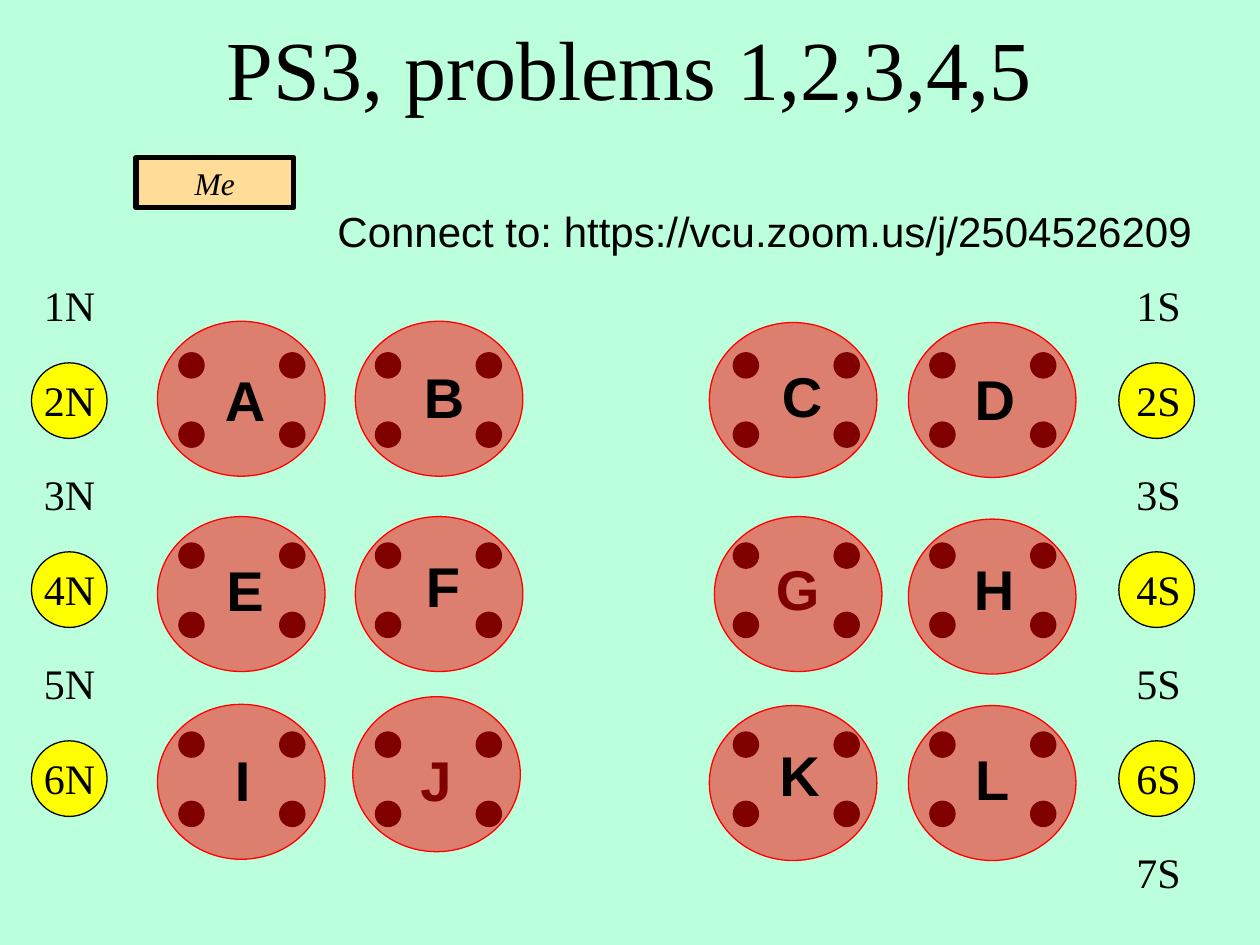
from lxml import etree
from pptx import Presentation
from pptx.dml.color import RGBColor
from pptx.enum.shapes import MSO_SHAPE
from pptx.enum.text import MSO_ANCHOR, PP_ALIGN
from pptx.oxml.ns import qn
from pptx.util import Inches, Pt

OVAL, RECT = MSO_SHAPE.OVAL, MSO_SHAPE.RECTANGLE
LEFT, MID = PP_ALIGN.LEFT, PP_ALIGN.CENTER
TOP, CORE = MSO_ANCHOR.TOP, MSO_ANCHOR.MIDDLE
SERIF, SANS = "Times New Roman", "Arial"
HUE = {"page": "BBFFDD", "ink": "000000", "lamp": "FFFF00",
       "desk": "FFDD99", "table": "FF0000"}

# The slide is a grid of 100 columns by 75 rows
WIDE, HIGH = Inches(10), Inches(7.5)
COL, ROW = WIDE / 100, HIGH / 75

# Seat blocks of the tables, in columns and rows
SEAT_X = (14.2, 29.8, 58.2, 73.8)
SEAT_Y = (28, 43.1, 58.1)
SEAT_W, SEAT_H, DOT = 10, 7.5, 2
# Each table: letter, shift of its disc, shift of its letter, letter below disc
TABLES = (
    (("A", (-1.7, -2.5), (0.8, 0.5), False),
     ("B", (-1.6, -2.5), (1, 0.3), False),
     ("C", (-1.9, -2.4), (1, 0.2), False),
     ("D", (-1.7, -2.4), (0.7, 0.4), False)),
    (("E", (-1.7, -2.1), (0.8, 0.5), False),
     ("F", (-1.6, -2.1), (0.9, 0.2), False),
     ("G", (-1.5, -2.1), (0.65, 0.4), True),
     ("H", (-1.7, -1.9), (0.65, 0.4), False)),
    (("I", (-1.7, -2.2), (0.6, 0.6), False),
     ("J", (-1.8, -2.8), (0.35, 0.6), True),
     ("K", (-1.9, -2.1), (0.8, 0.2), False),
     ("L", (-1.7, -2.1), (0.5, 0.5), False)),
)


def place(box):
    x, y, w, h = box
    return round(x * COL), round(y * ROW), round(w * COL), round(h * ROW)


def color(name):
    return RGBColor.from_string(HUE[name])


def shape(slide, kind, box, fill, line="ink", width=0.75, alpha=None):
    item = slide.shapes.add_shape(kind, *place(box))
    item.shadow.inherit = False
    item.fill.solid()
    item.fill.fore_color.rgb = color(fill)
    item.line.color.rgb = color(line)
    item.line.width = Pt(width)
    if alpha:
        tint = item.fill._xPr.find(qn("a:solidFill"))[0]
        etree.SubElement(tint, qn("a:alpha")).set("val", str(alpha * 1000))
    return item


def write(item, text, size, face=SERIF, align=LEFT, anchor=TOP,
          bold=False, slant=False):
    frame = item.text_frame
    frame.word_wrap = True
    frame.vertical_anchor = anchor
    para = frame.paragraphs[0]
    para.text = text
    para.alignment = align
    font = para.font
    font.name, font.size = face, Pt(size)
    font.bold, font.italic = bold, slant
    font.color.rgb = color("ink")


def label(slide, box, text, size, **style):
    write(slide.shapes.add_textbox(*place(box)), text, size, **style)


def head(slide, box):
    """Title, desk and link line."""
    x, y, w, h = box
    label(slide, (x + 8.7, y + 0.8, 82.5, 9), "PS3, problems 1,2,3,4,5", 48,
          align=MID)
    desk = shape(slide, RECT, (x + 10.8, y + 12.5, 12.5, 4), "desk", width=3)
    write(desk, "Me", 18, align=MID, anchor=CORE, slant=True)
    label(slide, (x + 25.8, y + 15.8, 71.7, 5),
          "Connect to: https://vcu.zoom.us/j/2504526209", 24, face=SANS)


def side(slide, box, mark, count, inset):
    """Column of seat numbers; even ones sit on a lamp."""
    x, y, w, h = box
    step = h / count
    for i in range(count):
        top = y + i * step
        if i % 2:
            shape(slide, OVAL, (x - inset, top - 0.4, 6, 6), "lamp")
        label(slide, (x, top, w, 5), f"{i + 1}{mark}", 24)


def table(slide, box, letter, disc, text, below):
    """Four seats under a clear disc with a letter."""
    x, y, w, h = box
    for top in (y, y + h - DOT):
        for left in (x, x + w - DOT):
            shape(slide, OVAL, (left, top, DOT, DOT), "ink")

    def name():
        label(slide, (x + text[0], y + text[1], 8.9, 6.4), letter, 32,
              face=SANS, align=MID, bold=True)

    if below:
        name()
    shape(slide, OVAL, (x + disc[0], y + disc[1], 13.3, 12.3),
          "table", "table", alpha=50)
    if not below:
        name()


def main():
    deck = Presentation()
    deck.slide_width, deck.slide_height = WIDE, HIGH
    slide = deck.slides.add_slide(deck.slide_layouts[6])
    slide.background.fill.solid()
    slide.background.fill.fore_color.rgb = color("page")

    side(slide, (2.5, 21.7, 6.7, 45), "N", 6, 0)
    side(slide, (89.2, 21.7, 6.7, 52.5), "S", 7, 0.4)
    for y, line in zip(SEAT_Y, TABLES):
        for x, parts in zip(SEAT_X, line):
            table(slide, (x, y, SEAT_W, SEAT_H), *parts)
    head(slide, (0, 0, 100, 21))
    deck.save("out.pptx")


if __name__ == "__main__":
    main()
